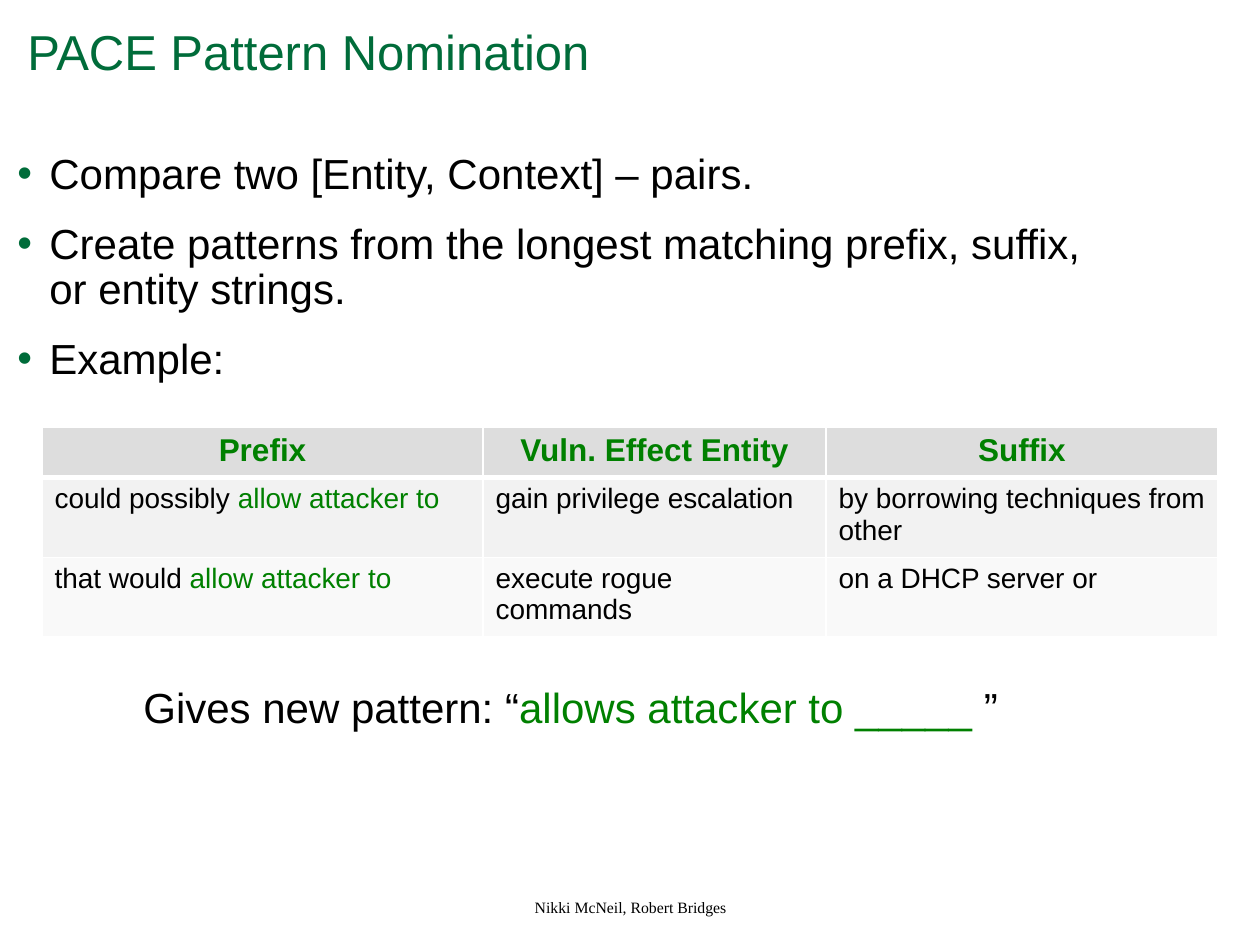
from lxml import etree
from pptx import Presentation
from pptx import util as u
from pptx.dml.color import RGBColor
from pptx.enum import text
from pptx.oxml import ns

PX = 914400 / 126
FOREST = RGBColor(0x00, 0x6C, 0x3A)
GREEN = RGBColor(0x00, 0x80, 0x00)
BLACK = RGBColor(0, 0, 0)
WHITE = RGBColor(0xFF, 0xFF, 0xFF)
HEADER_FILL = RGBColor(0xDD, 0xDD, 0xDD)
ROW_FILLS = [RGBColor(0xF2, 0xF2, 0xF2), RGBColor(0xF9, 0xF9, 0xF9)]


def px(length):
    return u.Emu(round(length * PX))


class Deck:
    """Holds the text style and the current slide."""

    def __init__(self, width, height, font="Arial"):
        self.prs = Presentation()
        self.prs.slide_width, self.prs.slide_height = px(width), px(height)
        self.slide = self.prs.slides.add_slide(self.prs.slide_layouts[6])
        self.font = font

    def add_runs(self, paragraph, runs, size, font=None, bold=False, **layout):
        """Fill a paragraph with (wording, colour) runs."""
        for name, value in layout.items():
            setattr(paragraph, name, value)
        for wording, color in runs:
            run = paragraph.add_run()
            run.text = wording
            style = {"name": font or self.font, "size": u.Pt(size), "bold": bold}
            for name, value in style.items():
                setattr(run.font, name, value)
            run.font.color.rgb = color

    def textbox(self, box, paragraphs, size, bullet=None, **style):
        frame = self.slide.shapes.add_textbox(*map(px, box)).text_frame
        frame.word_wrap = True
        for i, runs in enumerate(paragraphs):
            paragraph = frame.add_paragraph() if i else frame.paragraphs[0]
            self.add_runs(paragraph, runs, size, **style)
            if bullet is not None:
                self.bullet(paragraph, bullet)

    def bullet(self, paragraph, color):
        props = paragraph._p.get_or_add_pPr()
        indent = px(32)
        props.set("marL", str(indent))
        props.set("indent", str(-indent))
        tint = etree.SubElement(props, ns.qn("a:buClr"))
        etree.SubElement(tint, ns.qn("a:srgbClr"), val=str(color))
        etree.SubElement(props, ns.qn("a:buFont"), typeface=self.font)
        etree.SubElement(props, ns.qn("a:buChar"), char="•")

    def table(self, left, top, columns, heights, rows, fills):
        """Draw a table whose first row is a bold, centred header."""
        grid = self.slide.shapes.add_table(
            len(rows), len(columns), px(left), px(top),
            px(sum(columns)), px(sum(heights))).table
        for column, width in zip(grid.columns, columns):
            column.width = px(width)
        for r, (row, height, fill) in enumerate(zip(rows, heights, fills)):
            grid.rows[r].height = px(height)
            header = r == 0
            align = text.PP_ALIGN.CENTER if header else text.PP_ALIGN.LEFT
            for c, runs in enumerate(row):
                cell = grid.cell(r, c)
                self.add_runs(cell.text_frame.paragraphs[0], runs,
                              18 if header else 16, bold=header, alignment=align)
                self.borders(cell, top=3 if r == 1 else 1,
                             bottom=3 if header else 1)
                cell.fill.solid()
                cell.fill.fore_color.rgb = fill

    def borders(self, cell, top, bottom):
        props = cell._tc.get_or_add_tcPr()
        for side, width in {"L": 1, "R": 1, "T": top, "B": bottom}.items():
            line = etree.SubElement(props, ns.qn(f"a:ln{side}"), w=str(u.Pt(width)))
            fill = etree.SubElement(line, ns.qn("a:solidFill"))
            etree.SubElement(fill, ns.qn("a:srgbClr"), val=str(WHITE))


def main():
    deck = Deck(1260, 945)

    # Footer and title
    deck.textbox((431, 892, 399, 25), [[("Nikki McNeil, Robert Bridges", BLACK)]], 9,
                 font="Times New Roman", alignment=text.PP_ALIGN.CENTER)
    deck.textbox((15, 24, 1134, 64), [[("PACE Pattern Nomination", FOREST)]], 28,
                 line_spacing=0.85)

    # Method
    steps = ["Compare two [Entity, Context] – pairs.",
             "Create patterns from the longest matching prefix, suffix, or entity strings.",
             "Example:"]
    deck.textbox((5, 147, 1134, 250), [[(step, BLACK)] for step in steps], 24,
                 bullet=FOREST, line_spacing=0.9, space_before=u.Pt(14))

    # Example pairs
    match = ("allow attacker to", GREEN)
    headings = [[(name, GREEN)] for name in ("Prefix", "Vuln. Effect Entity", "Suffix")]
    pairs = [
        [[("could possibly ", BLACK), match],
         [("gain privilege escalation", BLACK)],
         [("by borrowing techniques from other", BLACK)]],
        [[("that would ", BLACK), match],
         [("execute rogue commands", BLACK)],
         [("on a DHCP server or", BLACK)]],
    ]
    deck.table(42, 427, [441, 343, 392], [48, 74, 74],
               [headings, *pairs], [HEADER_FILL, *ROW_FILLS])

    # Resulting pattern
    deck.textbox((131, 681, 1008, 60),
                 [[("Gives new pattern: “", BLACK),
                   ("allows attacker to _____ ", GREEN), ("”", BLACK)]],
                 24, line_spacing=0.9)

    deck.prs.save("out.pptx")


if __name__ == "__main__":
    main()
